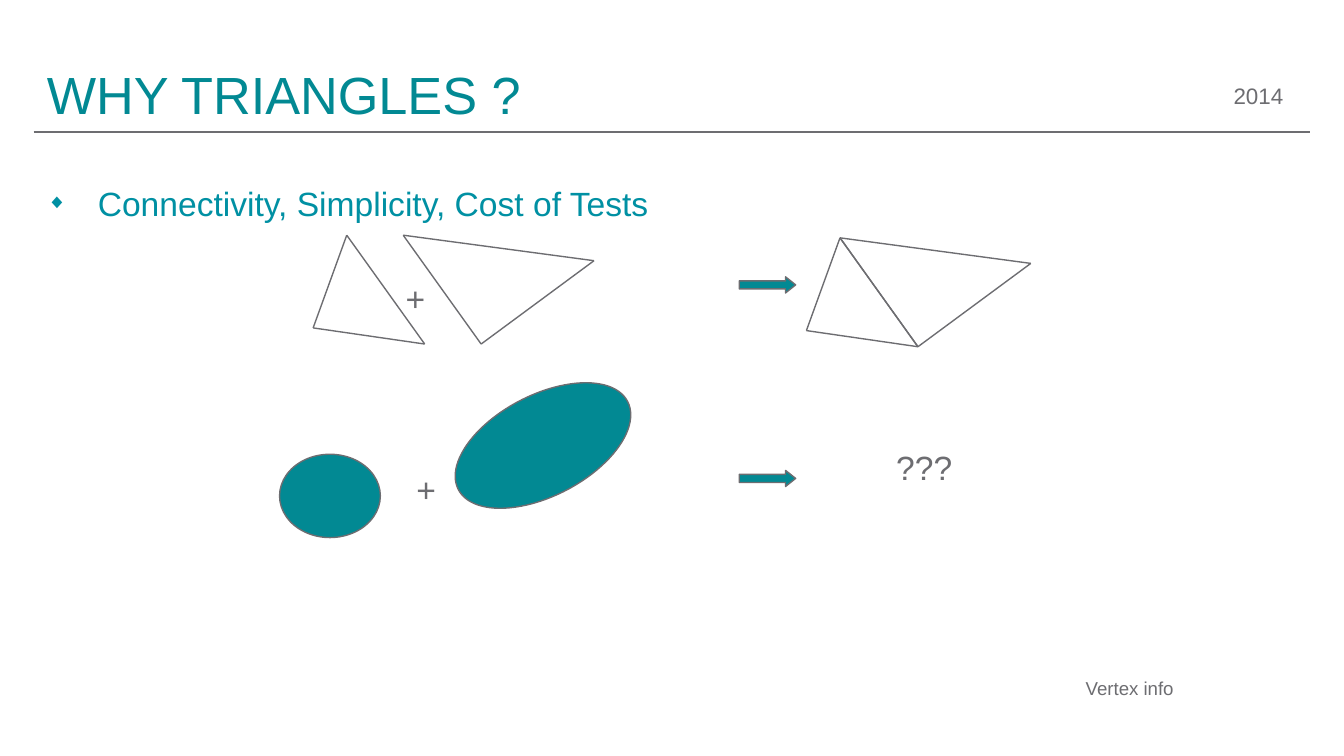
"""Build a slide on why triangles are handy: they join where ellipses do not."""
from typing import NamedTuple

from lxml import etree
from pptx import Presentation
from pptx import util as u
from pptx.dml.color import RGBColor
from pptx.enum import shapes, text
from pptx.oxml import ns

TEAL = RGBColor(0x02, 0x89, 0x93)
AQUA = RGBColor(0x00, 0x90, 0xA3)
GRAY = RGBColor(0x6D, 0x6D, 0x71)
FONT = "Arial"
WIDTH = u.Inches(10)
HEIGHT = u.Emu(WIDTH * 9 // 16)


class Label(NamedTuple):
    words: str
    left: float
    top: float
    width: float
    height: float
    size: float = 18
    color: RGBColor = GRAY
    wrap: bool = False
    anchor: text.MSO_ANCHOR = text.MSO_ANCHOR.TOP


class Solid(NamedTuple):
    kind: shapes.MSO_SHAPE
    left: float
    top: float
    width: float
    height: float
    turn: float = 0


class Corner(NamedTuple):
    x: float
    y: float


class Tri(NamedTuple):
    left: float
    top: float
    corners: tuple[Corner, ...]


SMALL = (Corner(0.25, 0), Corner(0, 0.69), Corner(0.83, 0.81))
LARGE = (Corner(0, 0), Corner(1.42, 0.19), Corner(0.58, 0.81))

TRIS = (
    Tri(2.33, 1.75, SMALL),
    Tri(3, 1.75, LARGE),
    Tri(6, 1.77, SMALL),
    Tri(6.25, 1.77, LARGE),
)
SOLIDS = (
    Solid(shapes.MSO_SHAPE.OVAL, 2.08, 3.38, 0.75, 0.62),
    Solid(shapes.MSO_SHAPE.OVAL, 3.33, 2.94, 1.42, 0.75, 332.5),
    Solid(shapes.MSO_SHAPE.RIGHT_ARROW, 5.5, 2.06, 0.42, 0.12),
    Solid(shapes.MSO_SHAPE.RIGHT_ARROW, 5.5, 3.5, 0.42, 0.12),
)
TITLE = Label("WHY TRIANGLES ?", 0.25, 0.06, 8.42, 0.92, 28, TEAL, True,
              text.MSO_ANCHOR.BOTTOM)
POINT = Label("Connectivity, Simplicity, Cost of Tests",
              0.25, 1.31, 9.5, 3.83, 18, AQUA, True)
LABELS = (
    Label("2014", 9.08, 0.56, 0.57, 0.3, 12),
    Label("+", 2.92, 2.02, 0.35, 0.4),
    Label("+", 3, 3.44, 0.35, 0.4),
    Label("???", 6.57, 3.28, 0.62, 0.4),
    Label("Vertex info", 7.98, 4.99, 0.87, 0.27, 10),
)


def add_line(slide, start: Corner, end: Corner, width: float = 0.75) -> None:
    line = slide.shapes.add_connector(
        shapes.MSO_CONNECTOR.STRAIGHT,
        *(u.Inches(n) for n in (*start, *end)))
    line.line.color.rgb = GRAY
    line.line.width = u.Pt(width)
    etree.SubElement(line._element.spPr, ns.qn("a:effectLst"))


def add_tri(slide, tri: Tri) -> None:
    spots = [Corner(tri.left + c.x, tri.top + c.y) for c in tri.corners]
    for start, end in zip(spots, spots[1:] + spots[:1]):
        add_line(slide, start, end)


def add_solid(slide, solid: Solid) -> None:
    shape = slide.shapes.add_shape(
        solid.kind, *(u.Inches(n) for n in solid[1:5]))
    shape.shadow.inherit = False
    shape.rotation = solid.turn
    shape.fill.solid()
    shape.fill.fore_color.rgb = TEAL
    shape.line.color.rgb = GRAY
    shape.line.width = u.Pt(0.75)
    if solid.kind == shapes.MSO_SHAPE.RIGHT_ARROW:
        shape.adjustments[1] = 0.625


def add_label(slide, label: Label):
    box = slide.shapes.add_textbox(*(u.Inches(n) for n in label[1:5]))
    frame = box.text_frame
    frame.word_wrap = label.wrap
    frame.vertical_anchor = label.anchor
    if not label.wrap:
        frame.auto_size = text.MSO_AUTO_SIZE.SHAPE_TO_FIT_TEXT
    para = frame.paragraphs[0]
    run = para.add_run()
    run.text = label.words
    run.font.name = FONT
    run.font.size = u.Pt(label.size)
    run.font.color.rgb = label.color
    return para


def add_bullet(para) -> None:
    para.space_before = u.Pt(18)
    props = para._p.get_or_add_pPr()
    props.set("marL", str(u.Inches(0.38)))
    props.set("indent", str(u.Inches(-0.38)))
    etree.SubElement(props, ns.qn("a:buSzPct"), val="60000")
    etree.SubElement(props, ns.qn("a:buFont"), typeface=FONT)
    etree.SubElement(props, ns.qn("a:buChar"), char="◆")


def main() -> None:
    deck = Presentation()
    deck.slide_width = WIDTH
    deck.slide_height = HEIGHT
    slide = deck.slides.add_slide(deck.slide_layouts[6])
    add_line(slide, Corner(0.25, 0.98), Corner(9.75, 0.98), 1)
    add_label(slide, TITLE)
    add_bullet(add_label(slide, POINT))
    for tri in TRIS:
        add_tri(slide, tri)
    for solid in SOLIDS:
        add_solid(slide, solid)
    for label in LABELS:
        add_label(slide, label)
    deck.save("out.pptx")


if __name__ == "__main__":
    main()
